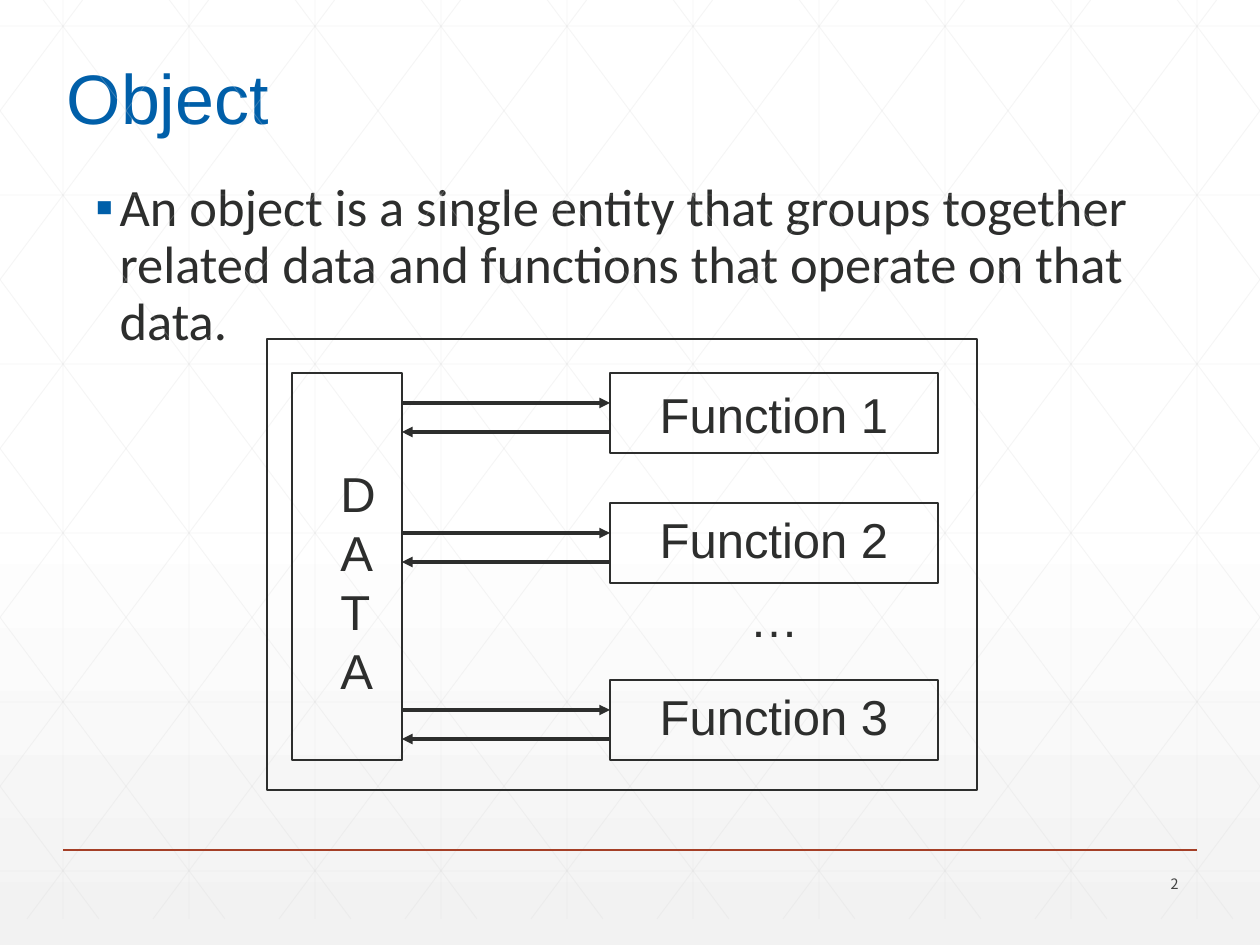
from lxml import etree
from pptx import Presentation
from pptx import util as u
from pptx.dml.color import RGBColor
from pptx.enum import shapes, text
from pptx.oxml.ns import qn

PX = 9525 * 96 / 126
W, H = 1260, 945

TITLE = "Object"
BODY = ("An object is a single entity that groups together related data "
        "and functions that operate on that data.")
INK, BLUE, RUST, GRID = "2D2E2D", "005FA9", "A43F27", "D9D9D9"

FRAME = (267, 339, 710, 451)
DATA = (292, 373, 110, 387)
FUNC_X, FUNC_W, FUNC_H = 610, 328, 80
FUNC_TOPS = [373, 503, 680]
CALL_DY, RETURN_DY = 30, 59
LABELS = [("Function 1", 378), ("Function 2", 503),
          ("Function 3", 680), ("…", 582)]
LABEL_H = 72

GRID_STEP, ROW_STEP = 126, 169
GRID_TOP, GRID_BOTTOM = -26, 919
SLANT_X, SLANT_RUN = 24, 705


def px(n):
    return u.Emu(round(n * PX))


def rgb(value):
    return RGBColor.from_string(value)


def place(sp, box):
    sp.left, sp.top, sp.width, sp.height = map(px, box)


def add_line(x1, y1, x2, y2, color, width, alpha=None, arrow=False):
    c = slide.shapes.add_connector(shapes.MSO_CONNECTOR.STRAIGHT,
                                   px(x1), px(y1), px(x2), px(y2))
    c.line.color.rgb = rgb(color)
    c.line.width = u.Pt(width)
    ln = c.line._get_or_add_ln()
    if alpha:
        clr = ln.find(".//" + qn("a:srgbClr"))
        etree.SubElement(clr, qn("a:alpha"), val=str(alpha * 1000))
    if arrow:
        etree.SubElement(ln, qn("a:tailEnd"), type="triangle")
    etree.SubElement(c._element.spPr, qn("a:effectLst"))


def add_box(box):
    sp = slide.shapes.add_shape(shapes.MSO_SHAPE.RECTANGLE, *map(px, box))
    sp.shadow.inherit = False
    sp.fill.background()
    sp.line.color.rgb = rgb(INK)
    sp.line.width = u.Pt(0.75)


def write(sp, words, size, color, font="Arial", align=text.PP_ALIGN.LEFT,
          anchor=text.MSO_ANCHOR.TOP, wrap=True, spacing=None):
    tf = sp.text_frame
    tf.text = words
    tf.word_wrap = wrap
    tf.auto_size = text.MSO_AUTO_SIZE.NONE
    tf.vertical_anchor = anchor
    p = tf.paragraphs[0]
    p.alignment = align
    p.space_before = u.Pt(0)
    p.line_spacing = spacing or u.Pt(round(size * 1.205, 1))
    f = p.runs[0].font
    f.name, f.size, f.color.rgb = font, u.Pt(size), rgb(color)
    return p


def add_text(box, *args, **kwargs):
    write(slide.shapes.add_textbox(*map(px, box)), *args, **kwargs)


def draw_grid():
    """Faint lattice: columns, rows and two mirrored families of slants."""
    rise = GRID_BOTTOM - GRID_TOP
    lines = [(63 + GRID_STEP * i, 0, 63 + GRID_STEP * i, GRID_BOTTOM)
             for i in range(10)]
    lines += [(0, 26 + ROW_STEP * i, W, 26 + ROW_STEP * i) for i in range(6)]
    for i in range(-5, 10):
        x0 = SLANT_X + GRID_STEP * i
        start = max(-GRID_TOP / rise, -x0 / SLANT_RUN)
        end = min(1, (W - x0) / SLANT_RUN)
        (x1, y1), (x2, y2) = [(x0 + t * SLANT_RUN, GRID_TOP + t * rise)
                              for t in (start, end)]
        lines += [(x1, y1, x2, y2), (W - x1, y1, W - x2, y2)]
    for line in lines:
        add_line(*line, GRID, 0.5, alpha=25)


prs = Presentation()
prs.slide_width, prs.slide_height = px(W), px(H)
slide = prs.slides.add_slide(prs.slide_layouts[1])

fill = slide.background.fill
fill.gradient()
fill.gradient_angle = 270
for stop, (pos, color) in zip(fill.gradient_stops,
                              [(0.53, "FFFFFF"), (1, "F2F2F2")]):
    stop.position, stop.color.rgb = pos, rgb(color)

draw_grid()
add_line(63, 850, 1197, 850, RUST, 1)
add_text((1096, 869, 95, 30), "2", 8.2, "424342", "Noto Sans CJK TC",
         text.PP_ALIGN.RIGHT, text.MSO_ANCHOR.MIDDLE, spacing=1.0)

title, body = slide.placeholders
place(title, (54, 48, 229, 97))
write(title, TITLE, 40, BLUE, wrap=False)

place(body, (83, 175, 1092, 645))
p = write(body, BODY, 30, INK, "Calibri", spacing=0.9)
pPr = p._p.get_or_add_pPr()
pPr.set("marL", str(px(24)))
pPr.set("indent", str(px(-24)))
bu_clr = etree.SubElement(pPr, qn("a:buClr"))
etree.SubElement(bu_clr, qn("a:srgbClr"), val=BLUE)
etree.SubElement(pPr, qn("a:buChar"), char="▪")

add_text((328, 457, 49, 248), "DATA", 28, INK)
add_box(DATA)
data_right = DATA[0] + DATA[2]
for top in FUNC_TOPS:
    add_box((FUNC_X, top, FUNC_W, FUNC_H))
    for x1, x2, dy in [(data_right, FUNC_X, CALL_DY),
                       (FUNC_X, data_right, RETURN_DY)]:
        add_line(x1, top + dy, x2, top + dy, INK, 2, arrow=True)
for label, top in LABELS:
    add_text((FUNC_X, top, FUNC_W, LABEL_H), label, 28, INK,
             align=text.PP_ALIGN.CENTER)
add_box(FRAME)

prs.save("out.pptx")
